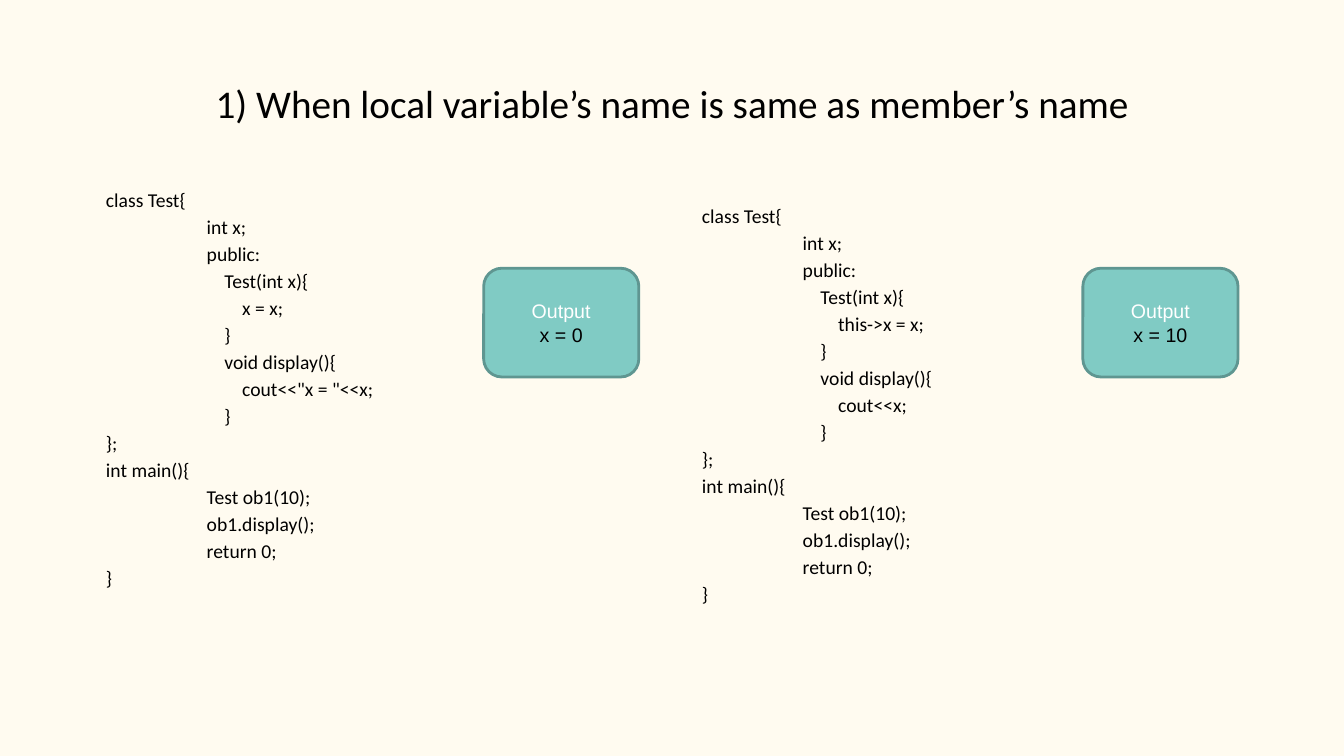
import pptx
import pptx.dml.color
import pptx.enum.shapes
import pptx.enum.text
import pptx.oxml
import pptx.oxml.ns
import pptx.util

Cm = pptx.util.Cm
Pt = pptx.util.Pt
ALIGN = pptx.enum.text.PP_ALIGN
ANCHOR = pptx.enum.text.MSO_ANCHOR

COLORS = {
    "background": "FFFBF0",
    "text": "000000",
    "output_fill": "80CBC4",
    "output_line": "5F9691",
    "output_label": "FFFFFF",
}
INSET = Cm(0.33)
CODE_TAB = Cm(2.54)


def color(name):
    return pptx.dml.color.RGBColor.from_string(COLORS[name])


def place(holder, left, top, width, height):
    """Move a placeholder and give its text frame the common margins."""
    holder.left, holder.top = Cm(left), Cm(top)
    holder.width, holder.height = Cm(width), Cm(height)
    frame = holder.text_frame
    frame.margin_left = frame.margin_right = INSET
    frame.margin_top = frame.margin_bottom = INSET
    frame.vertical_anchor = ANCHOR.TOP
    frame.auto_size = pptx.enum.text.MSO_AUTO_SIZE.NONE
    frame.word_wrap = True
    return frame


# Slide with a title and two content placeholders
deck = pptx.Presentation()
deck.slide_width, deck.slide_height = Cm(33.87), Cm(19.05)
slide = deck.slides.add_slide(deck.slide_layouts[3])
slide.background.fill.solid()
slide.background.fill.fore_color.rgb = color("background")

# Title
heading = place(slide.shapes.title, 1.16, 1.67, 31.55, 2.26).paragraphs[0]
heading.text = "1) When local variable’s name is same as member’s name"
heading.alignment = ALIGN.CENTER
heading.font.name = "Calibri"
heading.font.size = Pt(28)
heading.font.color.rgb = color("text")

# Programs: code left and top, assignment, print statement, output left, output
programs = [
    (2.34, 4.32, "x = x;", 'cout<<"x = "<<x;', 12.19, "x = 0"),
    (17.36, 4.71, "this->x = x;", "cout<<x;", 27.29, "x = 10"),
]

for number, program in enumerate(programs, start=1):
    code_left, code_top, assignment, printing, output_left, output = program

    # Code listing
    code_lines = [
        "class Test{",
        "\tint x;",
        "\tpublic:",
        "\t    Test(int x){",
        "\t        " + assignment,
        "\t    }",
        "\t    void display(){",
        "\t        " + printing,
        "\t    }",
        "};",
        "int main(){",
        "\tTest ob1(10);",
        "\tob1.display();",
        "\treturn 0;",
        "}",
    ]
    listing = place(slide.placeholders[number], code_left, code_top,
                    14.4, 19.05 - code_top)
    listing.text = "\n".join(code_lines)
    for line in listing.paragraphs:
        properties = line._p.get_or_add_pPr()
        properties.set("marL", "0")
        properties.set("indent", "0")
        properties.set("defTabSz", str(CODE_TAB))
        properties.append(pptx.oxml.parse_xml(
            f'<a:buNone {pptx.oxml.ns.nsdecls("a")}/>'))
        line.line_spacing = 1.15
        line.space_before = Pt(0)
        line.font.name = "Calibri"
        line.font.size = Pt(14)
        line.font.color.rgb = color("text")

    # Output box
    result = slide.shapes.add_shape(
        pptx.enum.shapes.MSO_SHAPE.ROUNDED_RECTANGLE,
        Cm(output_left), Cm(6.76), Cm(3.91), Cm(2.74))
    result.shadow.inherit = False
    result.fill.solid()
    result.fill.fore_color.rgb = color("output_fill")
    result.line.color.rgb = color("output_line")
    result.line.width = Pt(2)
    result.text_frame.text = "Output\n" + output
    result.text_frame.vertical_anchor = ANCHOR.MIDDLE
    for line, shade in zip(result.text_frame.paragraphs,
                           ("output_label", "text")):
        line.alignment = ALIGN.CENTER
        line.font.name = "Arial"
        line.font.size = Pt(14)
        line.font.color.rgb = color(shade)

deck.save("out.pptx")
